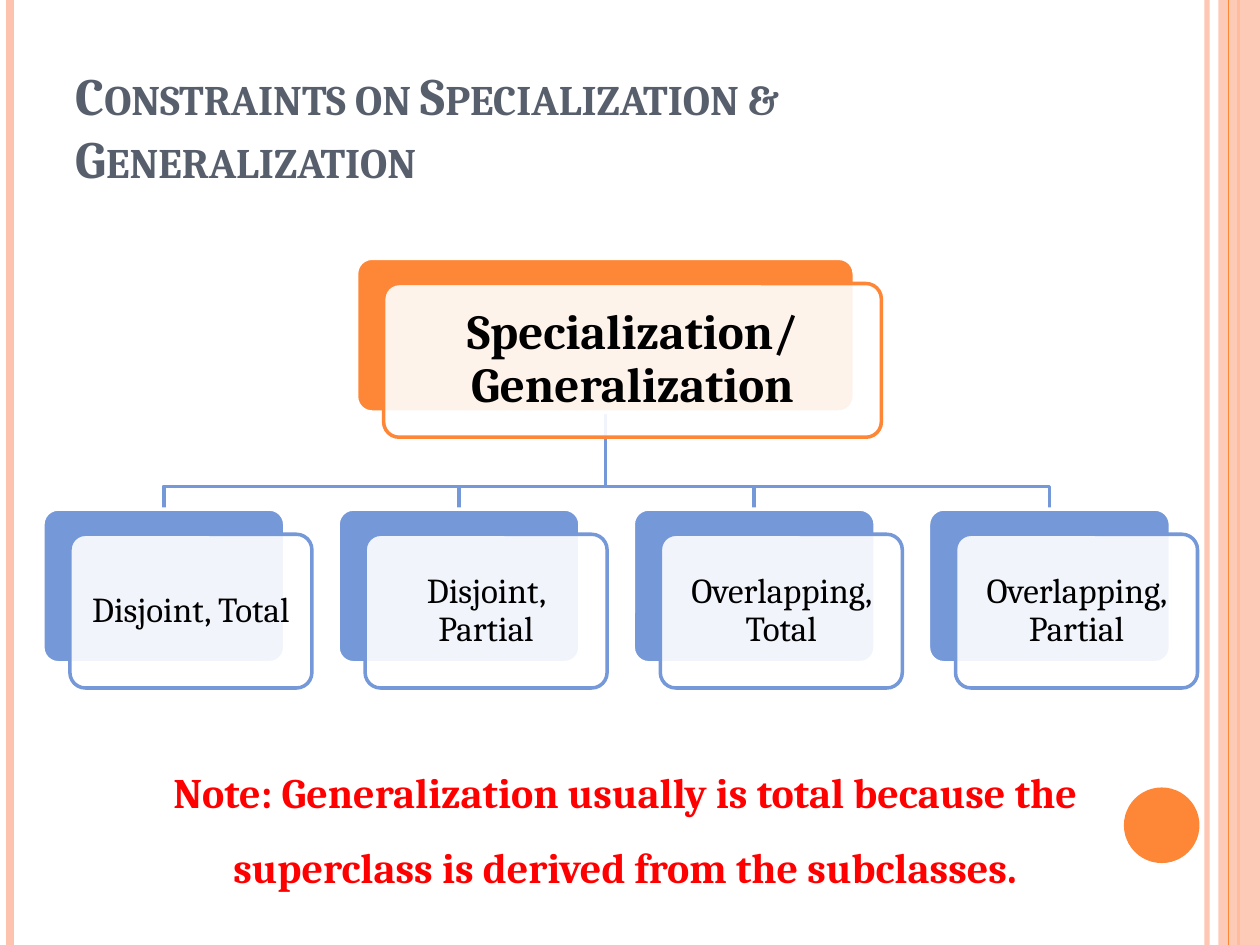
from lxml.etree import SubElement
from pptx import Presentation
from pptx.dml.color import RGBColor
from pptx.enum.shapes import MSO_CONNECTOR, MSO_SHAPE
from pptx.enum.text import MSO_ANCHOR, PP_ALIGN
from pptx.oxml.ns import qn
from pptx.util import Inches, Pt

# Content
TITLE = "Constraints on Specialization & Generalization"
ROOT = "Specialization/ Generalization"
KINDS = ["Disjoint, Total", "Disjoint, Partial",
         "Overlapping, Total", "Overlapping, Partial"]
NOTE = ("Note: Generalization usually is total because the "
        "superclass is derived from the subclasses.")

# Look
FACE = "Cambria"
ORANGE, BLUE, PEACH, WHITE = "FE8637", "7598D9", "FEC3AE", "FFFFFF"
SLATE, RED, BLACK = "575F6D", "FF0000", "000000"
RULES = [(9.58, PEACH, 3, 93), (0.08, PEACH, 4.5, 100), (9.83, ORANGE, 1.5, 100)]

# Tree layout in inches
CARD_H, SHIFT_X, SHIFT_Y = 1.22, 0.215, 0.2
ROOT_X, ROOT_Y, ROOT_W = 2.83, 2.05, 3.95
KID_X, KID_Y, KID_W, STEP = 0.34, 4.04, 1.92, 2.343
BEND_Y = 3.86

deck = Presentation()
deck.slide_width, deck.slide_height = Inches(10), Inches(7.5)
slide = deck.slides.add_slide(deck.slide_layouts[6])
shapes = slide.shapes


def rgb(code):
    return RGBColor.from_string(code)


def fade(part, percent):
    """Set the opacity of the first colour in a shape's fill or line."""
    if percent < 100:
        color = next(part._element.spPr.iter(qn("a:srgbClr")))
        SubElement(color, qn("a:alpha"), val=str(percent * 1000))


def rule(x, color, width, percent=100):
    line = shapes.add_connector(MSO_CONNECTOR.STRAIGHT, Inches(x), 0,
                                Inches(x), deck.slide_height)
    line.line.color.rgb = rgb(color)
    line.line.width = Pt(width)
    fade(line, percent)
    SubElement(line._element.spPr, qn("a:effectLst"))


def block(kind, x, y, w, h, fill, edge=None, percent=100):
    part = shapes.add_shape(kind, Inches(x), Inches(y), Inches(w), Inches(h))
    part.shadow.inherit = False
    part.fill.solid()
    part.fill.fore_color.rgb = rgb(fill)
    fade(part, percent)
    if edge:
        part.line.color.rgb = rgb(edge)
        part.line.width = Pt(2)
    else:
        part.line.fill.background()
    return part


def write(part, text, size, color, bold, align, anchor, pad, space=1.0):
    frame = part.text_frame
    frame.word_wrap = True
    frame.vertical_anchor = anchor
    frame.margin_left = frame.margin_right = Inches(pad[0])
    frame.margin_top = frame.margin_bottom = Inches(pad[1])
    para = frame.paragraphs[0]
    para.text = text
    para.alignment, para.line_spacing = align, space
    font = para.font
    font.name, font.size, font.bold = FACE, Pt(size), bold
    font.color.rgb = rgb(color)
    return para


def textbox(x, y, w, h):
    return shapes.add_textbox(Inches(x), Inches(y), Inches(w), Inches(h))


def card(text, x, y, w, color, size, bold=False):
    """Draw a solid card with a pale labelled card in front of it."""
    kind = MSO_SHAPE.ROUNDED_RECTANGLE
    back = block(kind, x, y, w, CARD_H, color, WHITE)
    front = block(kind, x + SHIFT_X, y + SHIFT_Y, w, CARD_H, WHITE, color, 90)
    for part in (back, front):
        part.adjustments[0] = 0.1
    write(front, text, size, BLACK, bold, PP_ALIGN.CENTER,
          MSO_ANCHOR.MIDDLE, (0.12, 0.12), 0.9)


def branch(x):
    """Draw the elbow from the root card down to a kind's card."""
    mid = ROOT_X + ROOT_W / 2
    points = [(mid, ROOT_Y + CARD_H), (mid, BEND_Y), (x, BEND_Y), (x, KID_Y)]
    first, *rest = [(Inches(a), Inches(b)) for a, b in points]
    path = shapes.build_freeform(*first)
    path.add_line_segments(rest, close=False)
    elbow = path.convert_to_shape()
    elbow.shadow.inherit = False
    elbow.fill.background()
    elbow.line.color.rgb = rgb(BLUE)
    elbow.line.width = Pt(2)


# Side rules, band and dot
for spec in RULES:
    rule(*spec)
block(MSO_SHAPE.RECTANGLE, 9.67, 0, 0.33, 7.5, PEACH, percent=87)
rule(9.75, ORANGE, 0.75)
block(MSO_SHAPE.OVAL, 8.92, 6.25, 0.6, 0.6, ORANGE)

# Title in small capitals
title = write(textbox(0.5, 0.3, 8.17, 1.25), TITLE, 30, SLATE, True,
              PP_ALIGN.LEFT, MSO_ANCHOR.BOTTOM, (0.1, 0.05))
title.runs[0].font._element.set("cap", "small")

# Note
write(textbox(0.5, 5.88, 8.92, 1.2), NOTE, 24, RED, True,
      PP_ALIGN.CENTER, MSO_ANCHOR.TOP, (0.1, 0), 1.5)

# Tree: branches behind, cards in front
lefts = [KID_X + i * STEP for i in range(len(KINDS))]
for left in lefts:
    branch(left + KID_W / 2)
card(ROOT, ROOT_X, ROOT_Y, ROOT_W, ORANGE, 28, True)
for left, kind in zip(lefts, KINDS):
    card(kind, left, KID_Y, KID_W, BLUE, 20)

deck.save("out.pptx")
